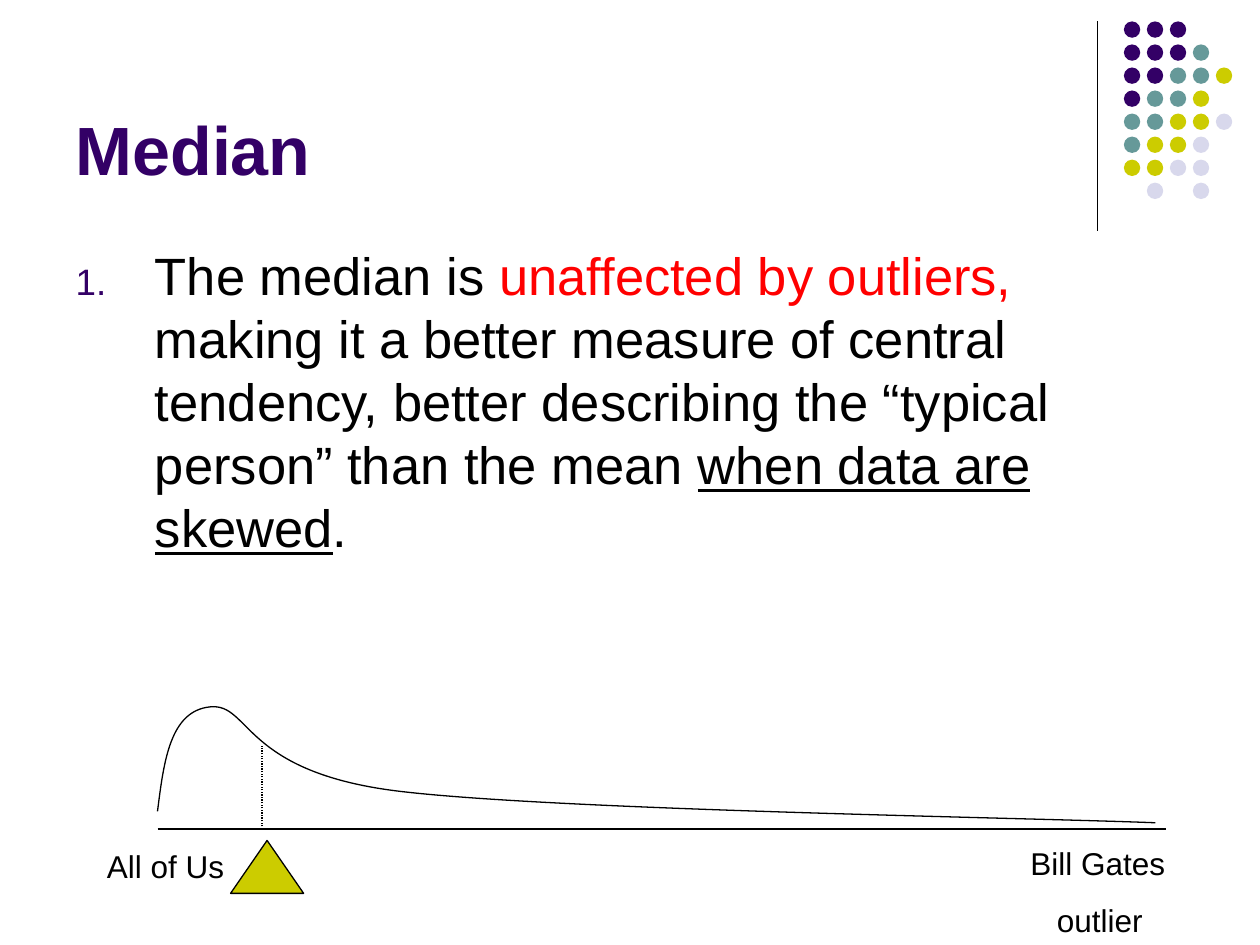
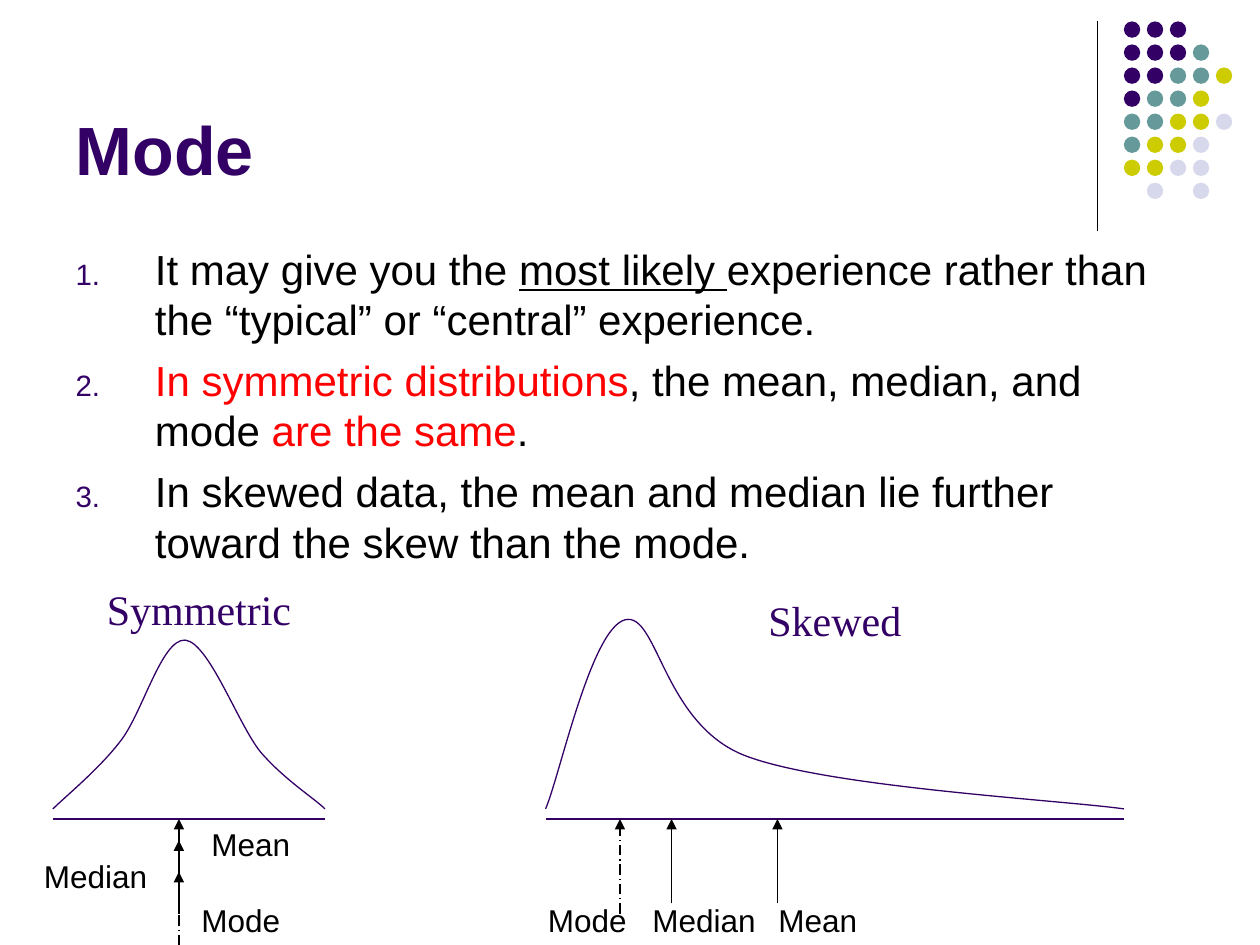
from dataclasses import dataclass

from lxml import etree
from pptx import Presentation
from pptx import util as u
from pptx.dml.color import RGBColor
from pptx.enum import dml, shapes, text
from pptx.oxml import ns

PLUM = RGBColor(0x33, 0x00, 0x66)
TEAL = RGBColor(0x66, 0x99, 0x99)
LIME = RGBColor(0xCC, 0xCC, 0x00)
MIST = RGBColor(0xD8, 0xD8, 0xEC)
BLACK = RGBColor(0, 0, 0)
RED = RGBColor(0xFF, 0, 0)
SANS, SERIF = "Arial", "Times New Roman"
THIN = u.Pt(0.75)
DOTS = ["PPP", "PPPT", "PPTTY", "PTTY", "TTYYL", "TYYL", "YYLL", " L L"]
TONES = {"P": PLUM, "T": TEAL, "Y": LIME, "L": MIST}


@dataclass
class Line:
    start: tuple
    end: tuple
    color: RGBColor = BLACK
    dash: object = None
    arrow: bool = False


@dataclass
class Label:
    words: str
    left: float
    top: float
    width: float
    size: int = 18
    font: str = SANS
    color: RGBColor = BLACK
    gap: float = 11.2


@dataclass
class Part:
    words: str
    color: RGBColor = BLACK
    under: bool = False


def style(run, size: float, color: RGBColor, font: str = SANS) -> None:
    run.font.name, run.font.size = font, u.Pt(size)
    run.font.color.rgb = color


def draw_line(slide, line: Line):
    ends = [u.Inches(v) for v in (*line.start, *line.end)]
    link = slide.shapes.add_connector(shapes.MSO_CONNECTOR.STRAIGHT, *ends)
    link.line.color.rgb, link.line.width = line.color, THIN
    if line.dash:
        link.line.dash_style = line.dash
    props = link.element.spPr
    if line.arrow:
        etree.SubElement(props.find(ns.qn("a:ln")), ns.qn("a:tailEnd"), type="triangle")
    etree.SubElement(props, ns.qn("a:effectLst"))
    return link


def draw_label(slide, label: Label):
    box = slide.shapes.add_textbox(u.Inches(label.left), u.Inches(label.top),
                                   u.Inches(label.width), u.Inches(0.4))
    frame = box.text_frame
    frame.word_wrap = True
    frame.auto_size = text.MSO_AUTO_SIZE.SHAPE_TO_FIT_TEXT
    frame.text = label.words
    for i, para in enumerate(frame.paragraphs):
        para.space_before = u.Pt(label.gap if i else 0)
        style(para.runs[0], label.size, label.color, label.font)
    return box


def draw_curve(slide, color: RGBColor, points: list) -> None:
    """Draw a Bezier curve: a start, then two handles and an end per segment."""
    spots = [(u.Inches(x), u.Inches(y)) for x, y in points]
    pen = slide.shapes.build_freeform(*spots[0])
    pen.add_line_segments(spots[1:], close=False)
    curve = pen.convert_to_shape()
    curve.shadow.inherit = False
    curve.fill.background()
    curve.line.color.rgb, curve.line.width = color, THIN
    route = curve.element.find(".//" + ns.qn("a:path"))
    legs = route.findall(ns.qn("a:lnTo"))
    for i in range(0, len(legs), 3):
        bend = etree.SubElement(route, ns.qn("a:cubicBezTo"))
        for leg in legs[i:i + 3]:
            bend.append(leg[0])
            route.remove(leg)


def set_list(slide, size: float, gap: float, items: list) -> None:
    frame = slide.placeholders[1].text_frame
    frame.auto_size = text.MSO_AUTO_SIZE.NONE
    for i, parts in enumerate(items):
        para = frame.add_paragraph() if i else frame.paragraphs[0]
        props = para._p.get_or_add_pPr()
        props.set("marL", str(u.Inches(0.63)))
        props.set("indent", str(u.Inches(-0.63)))
        tint = etree.SubElement(props, ns.qn("a:buClr"))
        etree.SubElement(tint, ns.qn("a:srgbClr"), val=str(PLUM))
        etree.SubElement(props, ns.qn("a:buSzPct"), val="70000")
        etree.SubElement(props, ns.qn("a:buAutoNum"), type="arabicPeriod")
        para.space_before = u.Pt(gap if i else 0)
        for part in parts:
            run = para.add_run()
            run.text = part.words
            style(run, size, part.color)
            if part.under:
                run.font.underline = True


def set_layout(layout, slide) -> None:
    """Place the shared placeholders, rule and dots on the layout."""
    spots = [(0.5, 0.13, 8.25, 1.42), (0.5, 1.88, 9, 4.82)]
    for i, spot in enumerate(spots):
        hold = layout.placeholders[i]
        hold.left, hold.top, hold.width, hold.height = map(u.Inches, spot)
    rule = draw_line(slide, Line((8.71, 0.17), (8.71, 1.83)))
    group = slide.shapes.add_group_shape()
    for row, tones in enumerate(DOTS):
        for col, tone in enumerate(tones):
            if tone == " ":
                continue
            dot = group.shapes.add_shape(
                shapes.MSO_SHAPE.OVAL, u.Inches(8.92 + col * 0.73 / 4),
                u.Inches(0.17 + row * 1.28 / 7), u.Inches(0.13), u.Inches(0.13))
            dot.shadow.inherit = False
            dot.fill.solid()
            dot.fill.fore_color.rgb = TONES[tone]
            dot.line.fill.background()
    for item in (rule, group):
        layout.shapes.element.append(item.element)
    for i, tag in enumerate(layout.shapes.element.iter(ns.qn("p:cNvPr")), 1):
        tag.set("id", str(i))


def set_title(slide, words: str) -> None:
    frame = slide.shapes.title.text_frame
    frame.text = words
    frame.auto_size = text.MSO_AUTO_SIZE.NONE
    frame.vertical_anchor = text.MSO_ANCHOR.BOTTOM
    para = frame.paragraphs[0]
    para.alignment = text.PP_ALIGN.LEFT
    style(para.runs[0], 39, PLUM)
    para.runs[0].font.bold = True


def build_median(slide) -> None:
    set_title(slide, "Median")
    set_list(slide, 30, 7.5, [[
        Part("The median is "), Part("unaffected by outliers, ", RED),
        Part("making it a better measure of central tendency, better describing "
             "the “typical person” than the mean "),
        Part("when data are skewed", under=True), Part(".")]])

    # Skewed curve on its axis
    draw_curve(slide, BLACK, [
        (1.25, 6.44), (1.3, 6.04), (1.35, 5.64), (1.67, 5.61),
        (1.99, 5.58), (1.92, 6.13), (3.17, 6.28),
        (4.42, 6.43), (8.17, 6.49), (9.17, 6.53)])
    draw_line(slide, Line((1.25, 6.58), (9.25, 6.58)))

    # Balance point and labels
    wedge = slide.shapes.add_shape(shapes.MSO_SHAPE.ISOSCELES_TRIANGLE, u.Inches(1.83),
                                   u.Inches(6.67), u.Inches(0.58), u.Inches(0.42))
    wedge.shadow.inherit = False
    wedge.fill.solid()
    wedge.fill.fore_color.rgb = LIME
    wedge.line.color.rgb, wedge.line.width = BLACK, THIN
    draw_label(slide, Label("All of Us", 0.75, 6.67, 1.75))
    rich = draw_label(slide, Label("Bill Gates\noutlier", 8.08, 6.65, 1.5))
    rich.height = u.Inches(0.86)
    last = rich.text_frame.paragraphs[1]._p.get_or_add_pPr()
    last.set("marL", str(u.Inches(0.21)))
    draw_line(slide, Line((2.08, 6.58), (2.08, 5.92), dash=dml.MSO_LINE.ROUND_DOT))


def build_mode(slide) -> None:
    set_title(slide, "Mode")
    set_list(slide, 24, 6, [
        [Part("It may give you the "), Part("most likely ", under=True),
         Part("experience rather than the “typical” or “central” experience.")],
        [Part("In symmetric distributions", RED), Part(", the mean, median, and mode "),
         Part("are the same", RED), Part(".")],
        [Part("In skewed data, the mean and median lie further toward the skew "
              "than the mode.")]])

    # Axes and arrows
    for left, right in [(0.42, 2.58), (4.33, 8.92)]:
        draw_line(slide, Line((left, 6.5), (right, 6.5), PLUM))
    broken = dml.MSO_LINE.LONG_DASH_DOT
    for x, low, high, dash in [(1.42, 6.83, 6.5, None), (1.42, 7.25, 6.67, None),
                               (1.42, 7.5, 6.92, broken), (4.92, 7.25, 6.5, broken),
                               (5.33, 7.17, 6.5, None), (6.17, 7.17, 6.5, None)]:
        draw_line(slide, Line((x, low), (x, high), dash=dash, arrow=True))

    # Labels
    for spot in [("Median", 0.25, 6.75, 1.42), ("Mean", 1.58, 6.5, 1.33),
                 ("Mode", 1.5, 7.1, 1.08), ("Mode", 4.25, 7.1, 1.08),
                 ("Median", 5.08, 7.1, 1.42), ("Mean", 6.08, 7.1, 1.33)]:
        draw_label(slide, Label(*spot))
    for spot in [("Symmetric", 0.75, 4.58, 2.08), ("Skewed", 6, 4.67, 2.08)]:
        head = draw_label(slide, Label(*spot, size=24, font=SERIF, color=PLUM))
        head.height = u.Inches(0.5)

    # Skewed and symmetric curves
    draw_curve(slide, PLUM, [
        (4.33, 6.42), (4.44, 6.17), (4.69, 4.99), (4.96, 4.92),
        (5.22, 4.85), (5.26, 5.75), (5.92, 6), (6.58, 6.25), (8.42, 6.35), (8.92, 6.42)])
    draw_curve(slide, PLUM, [
        (0.42, 6.42), (0.51, 6.33), (0.78, 6.11), (0.95, 5.89),
        (1.13, 5.67), (1.28, 5.07), (1.47, 5.08), (1.66, 5.1), (1.89, 5.75), (2.07, 5.97),
        (2.26, 6.19), (2.5, 6.34), (2.58, 6.42)])


def main() -> None:
    deck = Presentation()
    deck.slide_width, deck.slide_height = u.Inches(10), u.Inches(7.5)
    layout = deck.slide_layouts[1]
    first, second = [deck.slides.add_slide(layout) for _ in range(2)]
    set_layout(layout, first)
    build_median(first)
    build_mode(second)
    deck.save("out.pptx")


if __name__ == "__main__":
    main()
